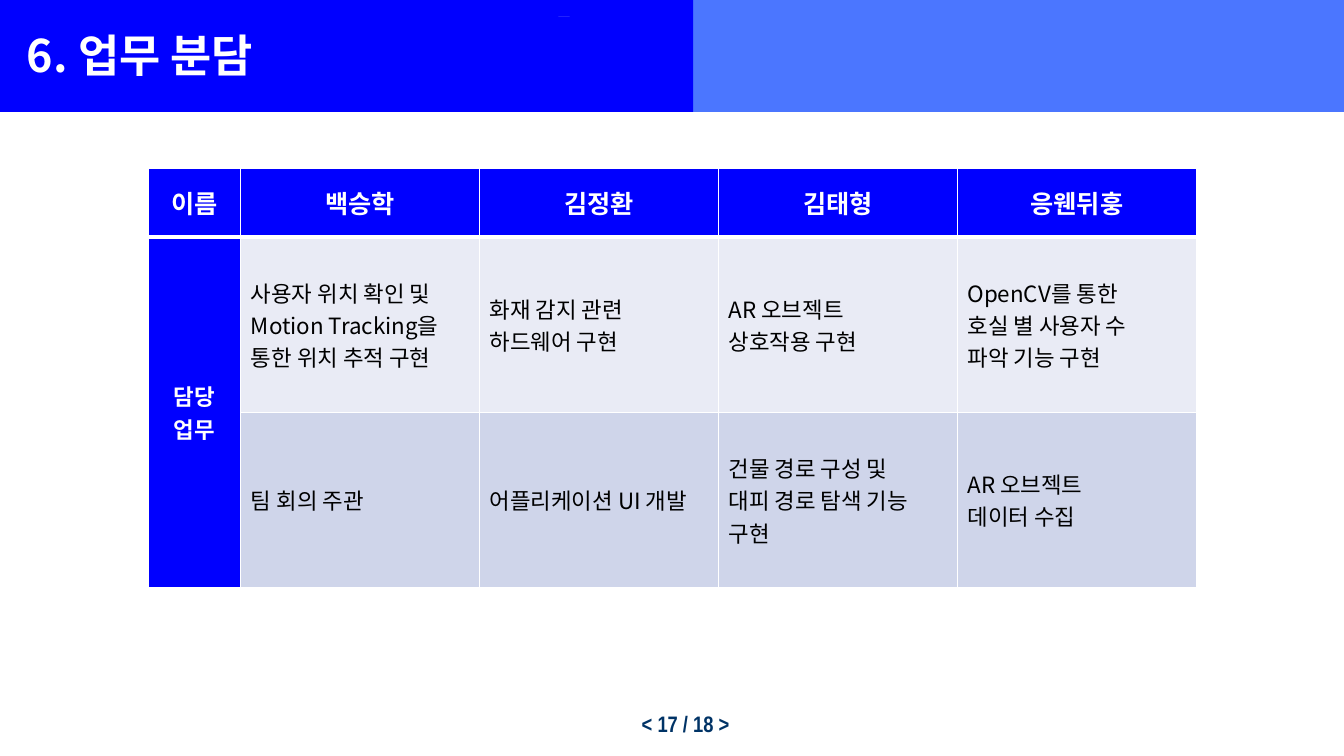
from dataclasses import dataclass

import pptx
import pptx.dml.color
import pptx.enum.shapes
import pptx.enum.text
import pptx.oxml
import pptx.oxml.ns
import pptx.util
from pptx.util import Cm

Align = pptx.enum.text.PP_ALIGN
Anchor = pptx.enum.text.MSO_ANCHOR


@dataclass(frozen=True)
class Theme:
    """Colours, fonts and type sizes of the slide."""

    white: str = "FFFFFF"
    black: str = "000000"
    blue: str = "0000FF"
    light_blue: str = "4B76FF"
    navy: str = "003366"
    first_row: str = "E9EBF5"
    second_row: str = "CFD5EA"
    body_font: str = "Noto Sans CJK KR"
    page_font: str = "Arial Narrow"
    title_size: int = 32
    header_size: int = 18
    body_size: int = 16
    thin_border: float = 1
    thick_border: float = 3


THEME = Theme()


@dataclass(frozen=True)
class TextStyle:
    """Look of a piece of text."""

    size: int
    color: str
    bold: bool = True
    align: Align = Align.LEFT
    font: str = THEME.body_font


@dataclass(frozen=True)
class Band:
    """Plain rectangle of the title bar, in centimetres."""

    left: float
    top: float
    width: float
    height: float
    color: str


@dataclass(frozen=True)
class Member:
    """Team member with the two duties, each a tuple of lines."""

    name: str
    duties: tuple[tuple[str, ...], ...]


TITLE = TextStyle(THEME.title_size, THEME.white)
PAGE = TextStyle(THEME.body_size, THEME.navy, align=Align.RIGHT, font=THEME.page_font)
HEADER = TextStyle(THEME.header_size, THEME.white, align=Align.CENTER)
SIDE = TextStyle(THEME.body_size, THEME.white, align=Align.CENTER)
DUTY = TextStyle(THEME.body_size, THEME.black, bold=False)

BANDS = (
    Band(0, 0, 33.87, 2.82, THEME.light_blue),
    Band(0, 0, 17.47, 2.82, THEME.blue),
    Band(14.07, 0.42, 0.29, 0, THEME.white),
)
MEMBERS = (
    Member("백승학", (
        ("사용자 위치 확인 및 Motion Tracking을 통한 위치 추적 구현",),
        ("팀 회의 주관",),
    )),
    Member("김정환", (
        ("화재 감지 관련", "하드웨어 구현"),
        ("어플리케이션 UI 개발",),
    )),
    Member("김태형", (
        ("AR 오브젝트", "상호작용 구현"),
        ("건물 경로 구성 및", "대피 경로 탐색 기능 구현"),
    )),
    Member("응웬뒤훙", (
        ("OpenCV를 통한", "호실 별 사용자 수", "파악 기능 구현"),
        ("AR 오브젝트", "데이터 수집"),
    )),
)
ROW_COLORS = (THEME.first_row, THEME.second_row)
COLUMN_WIDTHS = (2.34,) + (6.02,) * len(MEMBERS)
ROW_HEIGHTS = (1.73,) + (4.42,) * len(ROW_COLORS)


def rgb(color: str) -> pptx.dml.color.RGBColor:
    """Return the colour object for a hex code."""
    return pptx.dml.color.RGBColor.from_string(color)


def write(frame, lines: tuple[str, ...], style: TextStyle) -> None:
    """Write each line as one paragraph."""
    for index, line in enumerate(lines):
        paragraph = frame.add_paragraph() if index else frame.paragraphs[0]
        paragraph.alignment = style.align
        run = paragraph.add_run()
        run.text = line
        run.font.name = style.font
        run.font.size = pptx.util.Pt(style.size)
        run.font.bold = style.bold
        run.font.color.rgb = rgb(style.color)
        east_asian = pptx.oxml.parse_xml(
            f'<a:ea {pptx.oxml.ns.nsdecls("a")} typeface="{style.font}"/>'
        )
        run.font._element.find(pptx.oxml.ns.qn("a:latin")).addnext(east_asian)


def add_band(slide, band: Band) -> None:
    """Draw one rectangle without an outline."""
    rectangle = slide.shapes.add_shape(
        pptx.enum.shapes.MSO_SHAPE.RECTANGLE,
        Cm(band.left), Cm(band.top), Cm(band.width), Cm(band.height),
    )
    rectangle.shadow.inherit = False
    rectangle.fill.solid()
    rectangle.fill.fore_color.rgb = rgb(band.color)
    rectangle.line.fill.background()


def add_label(slide, box: tuple[float, ...], text: str, style: TextStyle):
    """Add a one-line text box and return its frame."""
    frame = slide.shapes.add_textbox(*map(Cm, box)).text_frame
    frame.word_wrap = True
    write(frame, (text,), style)
    return frame


def add_borders(cell, row: int) -> None:
    """Draw white borders, thick between the header and the duties."""
    thick_side = {0: "B", 1: "T"}.get(row)
    properties = cell._tc.get_or_add_tcPr()
    for index, side in enumerate("LRTB"):
        points = THEME.thick_border if side == thick_side else THEME.thin_border
        properties.insert(index, pptx.oxml.parse_xml(
            f'<a:ln{side} {pptx.oxml.ns.nsdecls("a")} w="{pptx.util.Pt(points)}">'
            f'<a:solidFill><a:srgbClr val="{THEME.white}"/></a:solidFill></a:ln{side}>'
        ))


def fill_cell(cell, lines: tuple[str, ...], style: TextStyle, color: str) -> None:
    """Set the text and background of a table cell."""
    cell.fill.solid()
    cell.fill.fore_color.rgb = rgb(color)
    cell.vertical_anchor = Anchor.MIDDLE
    write(cell.text_frame, lines, style)


def add_duty_table(slide) -> None:
    """Build the table of members and duties."""
    duties = slide.shapes.add_table(
        len(ROW_HEIGHTS), len(COLUMN_WIDTHS),
        Cm(3.73), Cm(4.24), Cm(sum(COLUMN_WIDTHS)), Cm(sum(ROW_HEIGHTS)),
    ).table
    for column, width in zip(duties.columns, COLUMN_WIDTHS):
        column.width = Cm(width)
    for row, height in zip(duties.rows, ROW_HEIGHTS):
        row.height = Cm(height)
    duties.cell(1, 0).merge(duties.cell(len(ROW_COLORS), 0))
    fill_cell(duties.cell(0, 0), ("이름",), HEADER, THEME.blue)
    fill_cell(duties.cell(1, 0), ("담당", "업무"), SIDE, THEME.blue)
    for column, member in enumerate(MEMBERS, 1):
        fill_cell(duties.cell(0, column), (member.name,), HEADER, THEME.blue)
        for row, (lines, color) in enumerate(zip(member.duties, ROW_COLORS), 1):
            fill_cell(duties.cell(row, column), lines, DUTY, color)
    for row in range(len(ROW_HEIGHTS)):
        for column in range(len(COLUMN_WIDTHS)):
            add_borders(duties.cell(row, column), row)


def main() -> None:
    """Build and save the slide."""
    deck = pptx.Presentation()
    deck.slide_width, deck.slide_height = Cm(33.87), Cm(19.05)
    slide = deck.slides.add_slide(deck.slide_layouts[6])
    page = add_label(slide, (15.24, 17.7, 3.39, 0.91), "< 17 / 18 >", PAGE)
    page.paragraphs[0].line_spacing = 1.1
    for band in BANDS:
        add_band(slide, band)
    title = add_label(slide, (0.43, 0.56, 16.48, 1.63), "6. 업무 분담", TITLE)
    title.vertical_anchor = Anchor.MIDDLE
    add_duty_table(slide)
    deck.save("out.pptx")


if __name__ == "__main__":
    main()
